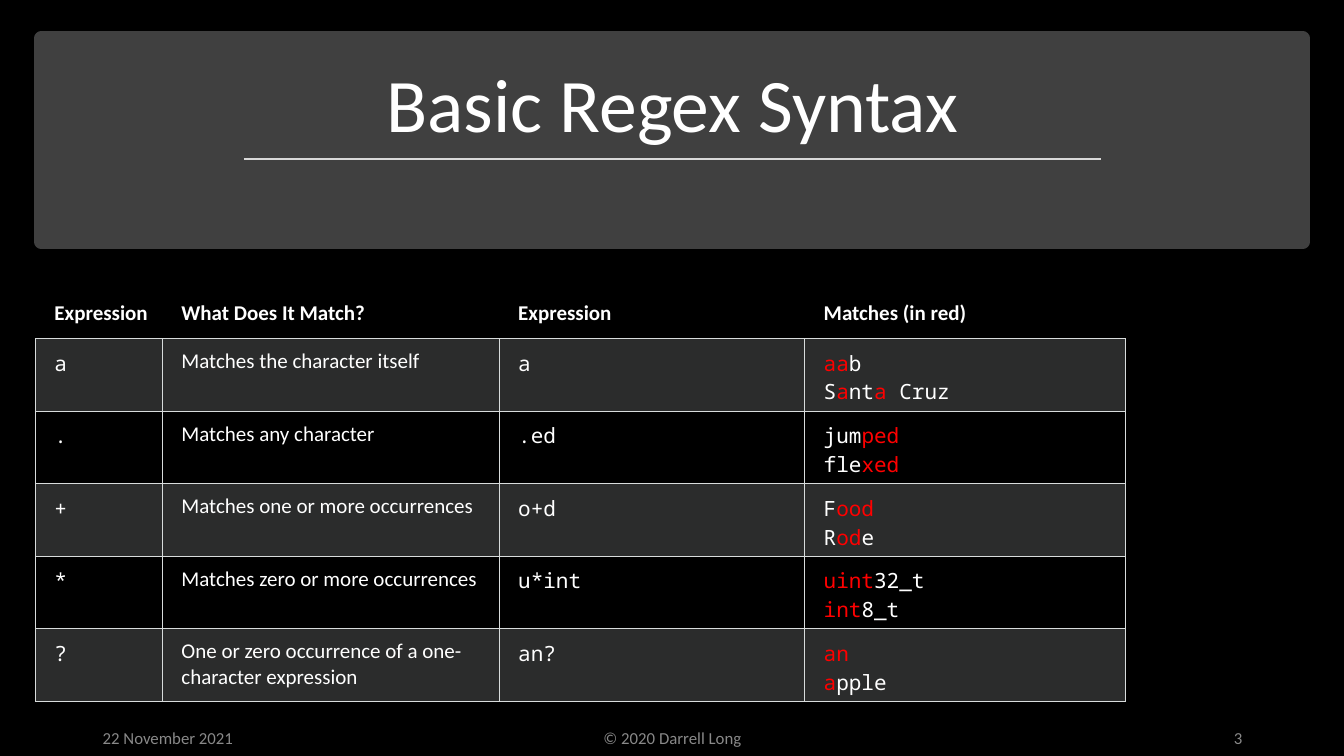
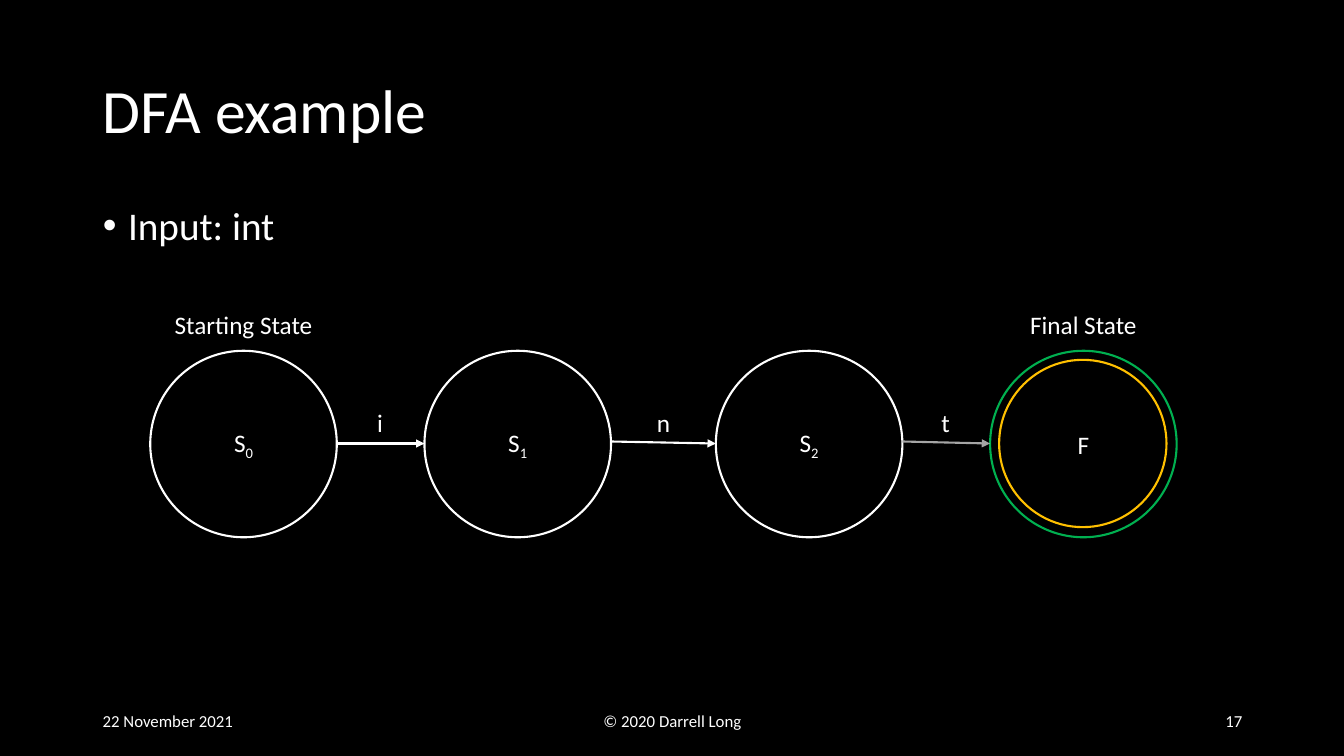
import pptx
import pptx.util
import pptx.dml.color
import pptx.enum.shapes
import pptx.enum.text
import pptx.oxml.ns
import lxml.etree

PX = 9144
COLORS = {
    "black": "000000",
    "white": "FFFFFF",
    "band": "404040",
    "rule": "D9D9D9",
    "muted": "898989",
    "grid": "D8DCDC",
    "stripe": "D8DEDC",
    "match": "FF0000",
    "accepting": "00B050",
    "inner": "FFC000",
    "last_arrow": "A5A5A5",
}
SANS = "Calibri"
MONO = "Noto Sans Mono"
ALIGN = pptx.enum.text.PP_ALIGN
ANCHOR = pptx.enum.text.MSO_ANCHOR
OVAL = pptx.enum.shapes.MSO_SHAPE.OVAL
RECTANGLE = pptx.enum.shapes.MSO_SHAPE.RECTANGLE

COLUMN_WIDTHS = [126, 334, 303, 318]
HEADINGS = ["Expression", "What Does It Match?", "Expression", "Matches (in red)"]
RULES = [
    ("a", "Matches the character itself", "a", ["|aa|b", "S|a|nt|a| Cruz"]),
    (".", "Matches any character", ".ed", ["jum|ped", "fle|xed"]),
    ("+", "Matches one or more occurrences", "o+d", ["F|ood", "R|od|e"]),
    ("*", "Matches zero or more occurrences", "u*int", ["|uint|32_t", "|int|8_t"]),
    ("?", "One or zero occurrence of a one-character expression", "an?",
     ["|an", "|a|pple"]),
]

STATE_TOP, STATE_SIZE, INNER_SIZE = 348, 185, 166
STATES = [
    (149, "S", "0", "white", "black"),
    (421, "S", "1", "white", None),
    (710, "S", "2", "white", "black"),
    (982, "F", "", "accepting", None),
]
TRANSITIONS = [("i", 440, "white"), ("n", 438, "white"), ("t", 438, "last_arrow")]


def px(length):
    return pptx.util.Emu(round(length * PX))


def rgb(color):
    return pptx.dml.color.RGBColor.from_string(COLORS[color])


def sub(parent, tag, **attributes):
    return lxml.etree.SubElement(parent, pptx.oxml.ns.qn(tag), **attributes)


def add_run(paragraph, text, size, color="white", font=SANS, bold=False):
    run = paragraph.add_run()
    run.text = text
    run.font.size = pptx.util.Pt(size)
    run.font.name = font
    run.font.bold = bold
    run.font.color.rgb = rgb(color)
    return run


def place(shape, left, top, width, height):
    shape.left, shape.top = px(left), px(top)
    shape.width, shape.height = px(width), px(height)


def fill_placeholder(holder, box, text, size, align, anchor):
    place(holder, *box)
    frame = holder.text_frame
    frame.auto_size = pptx.enum.text.MSO_AUTO_SIZE.NONE
    frame.vertical_anchor = anchor
    paragraph = frame.paragraphs[0]
    paragraph.alignment = align
    paragraph.line_spacing = 0.9
    add_run(paragraph, text, size)
    return paragraph


def add_label(slide, box, text, size, align=ALIGN.CENTER, color="white",
              anchor=ANCHOR.TOP):
    frame = slide.shapes.add_textbox(*map(px, box)).text_frame
    frame.word_wrap = True
    frame.vertical_anchor = anchor
    frame.paragraphs[0].alignment = align
    add_run(frame.paragraphs[0], text, size, color)


def add_footer(slide, top, height, number, color):
    parts = [
        (92, 300, "22 November 2021", ALIGN.LEFT),
        (442, 450, "© 2020 Darrell Long", ALIGN.CENTER),
        (942, 300, number, ALIGN.RIGHT),
    ]
    for left, width, text, align in parts:
        add_label(slide, (left, top, width, height), text, 12, align, color,
                  ANCHOR.MIDDLE)


def add_outline(slide, preset, box, line, weight, fill=None):
    shape = slide.shapes.add_shape(preset, *map(px, box))
    shape.shadow.inherit = False
    if fill:
        shape.fill.solid()
        shape.fill.fore_color.rgb = rgb(fill)
    else:
        shape.fill.background()
    shape.line.color.rgb = rgb(line)
    shape.line.width = pptx.util.Pt(weight)
    return shape


def add_line(slide, start, end, color, weight, arrow=False):
    line = slide.shapes.add_connector(
        pptx.enum.shapes.MSO_CONNECTOR.STRAIGHT, *map(px, start + end))
    line.line.color.rgb = rgb(color)
    line.line.width = pptx.util.Pt(weight)
    if arrow:
        sub(line.line._get_or_add_ln(), "a:tailEnd", type="triangle")
    sub(line.element.spPr, "a:effectLst")


def set_borders(cell, visible):
    properties = cell._tc.get_or_add_tcPr()
    for side in "LRTB":
        border = sub(properties, "a:ln" + side, w=str(pptx.util.Pt(0.75)))
        if side in visible:
            sub(sub(border, "a:solidFill"), "a:srgbClr", val=COLORS["grid"])
        else:
            sub(border, "a:noFill")


def fill_cell(cell, lines, font=SANS, bold=False, borders="LRTB", striped=False):
    cell.margin_left = px(19)
    cell.margin_right = cell.margin_top = cell.margin_bottom = px(10)
    set_borders(cell, borders)
    if striped:
        cell.fill.solid()
        cell.fill.fore_color.rgb = rgb("stripe")
        tint = cell._tc.tcPr.find(".//" + pptx.oxml.ns.qn("a:solidFill") + "[last()]")
        tint = cell._tc.tcPr.findall(pptx.oxml.ns.qn("a:solidFill"))[0]
        sub(tint[0], "a:alpha", val="20000")
    else:
        cell.fill.background()
    frame = cell.text_frame
    for index, line in enumerate(lines):
        paragraph = frame.add_paragraph() if index else frame.paragraphs[0]
        for position, part in enumerate(line.split("|")):
            if part:
                color = "match" if position % 2 else "white"
                add_run(paragraph, part, 15, color, font, bold)


def add_syntax_table(slide):
    heights = [48] + [72] * len(RULES)
    table = slide.shapes.add_table(
        len(heights), len(COLUMN_WIDTHS), px(35), px(288),
        px(sum(COLUMN_WIDTHS)), px(sum(heights))).table
    table.first_row = table.horz_banding = False
    for column, width in zip(table.columns, COLUMN_WIDTHS):
        column.width = px(width)
    for row, height in zip(table.rows, heights):
        row.height = px(height)
    for column, heading in enumerate(HEADINGS):
        fill_cell(table.cell(0, column), [heading], bold=True, borders="B")
    for row, (symbol, meaning, pattern, matches) in enumerate(RULES, 1):
        contents = [([symbol], MONO), ([meaning], SANS), ([pattern], MONO),
                    (matches, MONO)]
        for column, (lines, font) in enumerate(contents):
            fill_cell(table.cell(row, column), lines, font, striped=row % 2 == 1)


def add_state(slide, left, name, index, line, fill):
    state = add_outline(slide, OVAL, (left, STATE_TOP, STATE_SIZE, STATE_SIZE),
                        line, 1.5, fill)
    state.text_frame.vertical_anchor = ANCHOR.MIDDLE
    paragraph = state.text_frame.paragraphs[0]
    paragraph.alignment = ALIGN.CENTER
    add_run(paragraph, name, 18)
    if index:
        subscript = add_run(paragraph, index, 18)
        subscript._r.get_or_add_rPr().set("baseline", "-25000")


def build_syntax_slide(deck):
    slide = deck.slides.add_slide(deck.slide_layouts[5])
    title = slide.shapes.title
    band = add_outline(slide, RECTANGLE, (35, 31, 1265, 215), "band", 1, "band")
    place(band, 41, 38, 1251, 202)
    band.line.width = pptx.util.Pt(10)
    title.element.addprevious(band.element)
    fill_placeholder(title, (58, 51, 1218, 102), "Basic Regex Syntax", 54,
                     ALIGN.CENTER, ANCHOR.BOTTOM)
    add_line(slide, (242, 158), (1092, 158), "rule", 1.75)
    add_footer(slide, 713, 38, "3", "muted")
    add_syntax_table(slide)


def build_dfa_slide(deck):
    slide = deck.slides.add_slide(deck.slide_layouts[1])
    fill_placeholder(slide.shapes.title, (92, 40, 1150, 145), "DFA example", 44,
                     ALIGN.LEFT, ANCHOR.MIDDLE)
    bullet = fill_placeholder(slide.placeholders[1], (92, 200, 286, 87),
                              "Input: int", 28, ALIGN.LEFT, ANCHOR.TOP)
    bullet.space_before = pptx.util.Pt(10)
    properties = bullet._p.get_or_add_pPr()
    properties.set("marL", str(px(25)))
    properties.set("indent", str(px(-25)))
    sub(properties, "a:buFont", typeface="Arial")
    sub(properties, "a:buChar", char="•")
    add_footer(slide, 695, 40, "17", "white")

    for state in STATES:
        add_state(slide, *state)
    inset = (STATE_SIZE - INNER_SIZE) // 2
    add_outline(slide, OVAL, (STATES[-1][0] + inset, STATE_TOP + inset,
                              INNER_SIZE, INNER_SIZE), "inner", 1.5)

    lefts = [state[0] for state in STATES]
    for source, target, (symbol, start_y, color) in zip(lefts, lefts[1:], TRANSITIONS):
        start = source + STATE_SIZE
        add_line(slide, (start, start_y), (target, 440), color, 1.5, arrow=True)
        middle = (start + target) // 2
        add_label(slide, (middle - 20, 399, 40, 40), symbol, 18)
    for left, caption in [(lefts[0], "Starting State"), (lefts[-1], "Final State")]:
        add_label(slide, (left, 302, STATE_SIZE, 40), caption, 18)


def main():
    deck = pptx.Presentation()
    deck.slide_width, deck.slide_height = px(1333), px(750)
    background = deck.slide_master.background.fill
    background.solid()
    background.fore_color.rgb = rgb("black")
    build_syntax_slide(deck)
    build_dfa_slide(deck)
    deck.save("out.pptx")


if __name__ == "__main__":
    main()
